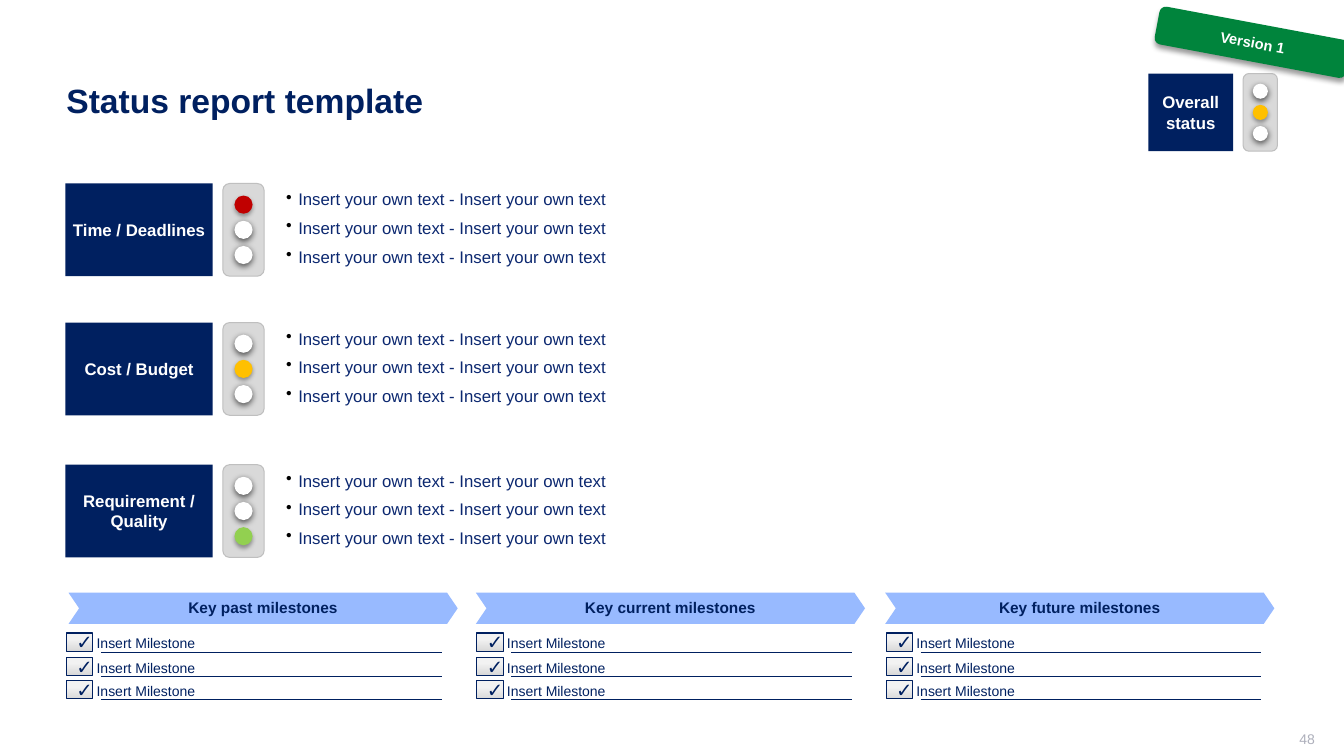
from dataclasses import dataclass

from lxml.etree import SubElement
from pptx import Presentation
from pptx.dml.color import RGBColor
from pptx.enum.shapes import MSO_CONNECTOR, MSO_SHAPE as Geometry
from pptx.enum.text import MSO_ANCHOR as Anchor, PP_ALIGN as Align
from pptx.oxml.ns import qn
from pptx.shapes.autoshape import Shape
from pptx.util import Emu, Pt

EMU_PER_PX = 9144  # 100 px to the inch

NAVY = RGBColor(0x00, 0x20, 0x60)
BODY_BLUE = RGBColor(0x0C, 0x28, 0x70)
LIGHT_BLUE = RGBColor(0x98, 0xBA, 0xFF)
WHITE = RGBColor(0xFF, 0xFF, 0xFF)
RED = RGBColor(0xC0, 0x00, 0x00)
AMBER = RGBColor(0xFF, 0xC0, 0x00)
GREEN = RGBColor(0x92, 0xD0, 0x50)
RIBBON_GREEN = RGBColor(0x00, 0x84, 0x3C)
PALE_GREY = RGBColor(0xF2, 0xF2, 0xF2)
GREY = RGBColor(0xD9, 0xD9, 0xD9)
EDGE_GREY = RGBColor(0xBF, 0xBF, 0xBF)
NUMBER_GREY = RGBColor(0xAD, 0xAF, 0xBB)

LABEL_INSETS = (0, 5, 0, 5)
LAMP_COLORS = (RED, AMBER, GREEN)


@dataclass(frozen=True)
class Shadow:
    opacity: int
    blur: float
    distance: float


@dataclass(frozen=True)
class TrafficLight:
    left: int
    top: int
    width: int
    height: int
    lamp: int
    pitch: int
    lit: int


@dataclass(frozen=True)
class Topic:
    name: str
    top: int
    lit: int


@dataclass(frozen=True)
class MilestoneColumn:
    heading: str
    heading_left: int
    rows_left: int


LIT_SHADOW = Shadow(35, 3.1, 1.8)
UNLIT_SHADOW = Shadow(63, 4.5, 1.5)
RIBBON_SHADOW = Shadow(40, 4, 3)

TOPICS = (
    Topic("Time / Deadlines", 182, 0),
    Topic("Cost / Budget", 320, 1),
    Topic("Requirement / Quality", 461, 2),
)
MILESTONE_COLUMNS = (
    MilestoneColumn("Key past milestones", 68, 66),
    MilestoneColumn("Key current milestones", 472, 473),
    MilestoneColumn("Key future milestones", 878, 879),
)


def px(length: float) -> Emu:
    return Emu(round(length * EMU_PER_PX))


def write(shape: Shape, *lines: str, size: float, color: RGBColor, bold: bool = False,
          align: Align = Align.LEFT, anchor: Anchor = Anchor.MIDDLE,
          insets: tuple = (10, 5, 10, 5), gap: float = 0, bulleted: bool = False,
          line_height: float | None = None) -> None:
    """Fill a shape with one paragraph per line; insets run left, top, right, bottom."""
    frame = shape.text_frame
    frame.word_wrap = True
    frame.vertical_anchor = anchor
    (frame.margin_left, frame.margin_top,
     frame.margin_right, frame.margin_bottom) = map(px, insets)
    for index, line in enumerate(lines):
        paragraph = frame.add_paragraph() if index else frame.paragraphs[0]
        if bulleted:
            add_bullet(paragraph)
        paragraph.alignment = align
        if index and gap:
            paragraph.space_before = Pt(gap)
        if line_height:
            paragraph.line_spacing = Pt(line_height)
        run = paragraph.add_run()
        run.text = line
        run.font.name = "Arial"
        run.font.size = Pt(size)
        run.font.bold = bold
        run.font.color.rgb = color


def add_bullet(paragraph) -> None:
    properties = paragraph._p.get_or_add_pPr()
    properties.set("marL", str(px(12)))
    properties.set("indent", str(-px(12)))
    bullet_color = SubElement(properties, qn("a:buClr"))
    SubElement(bullet_color, qn("a:srgbClr"), val="000000")
    SubElement(properties, qn("a:buChar"), char="•")


def add_block(shapes, geometry: Geometry, left: float, top: float, width: float, height: float,
              fill: RGBColor | None = None, edge: RGBColor | None = None,
              shadow: Shadow | None = None) -> Shape:
    block = shapes.add_shape(geometry, px(left), px(top), px(width), px(height))
    block.shadow.inherit = False
    if fill is not None:
        block.fill.solid()
        block.fill.fore_color.rgb = fill
    if edge is None:
        block.line.fill.background()
    else:
        block.line.color.rgb = edge
        block.line.width = Pt(0.75)
    if shadow:
        effects = block._element.spPr.find(qn("a:effectLst"))
        outer = SubElement(effects, qn("a:outerShdw"), blurRad=str(Pt(shadow.blur)),
                           dist=str(Pt(shadow.distance)), dir="5400000", rotWithShape="0")
        black = SubElement(outer, qn("a:srgbClr"), val="000000")
        SubElement(black, qn("a:alpha"), val=str(shadow.opacity * 1000))
    return block


def add_text(shapes, left: int, top: int, width: int, height: int, text: str, **style) -> None:
    write(shapes.add_textbox(px(left), px(top), px(width), px(height)), text, **style)


def add_label(shapes, left: int, top: int, width: int, height: int, name: str) -> None:
    label = add_block(shapes, Geometry.RECTANGLE, left, top, width, height, NAVY)
    write(label, name, size=12, color=WHITE, bold=True, align=Align.CENTER, insets=LABEL_INSETS)


def add_traffic_light(shapes, light: TrafficLight) -> None:
    """Draw the housing with three lamps spread evenly about its centre."""
    parts = shapes.add_group_shape().shapes
    add_block(parts, Geometry.ROUNDED_RECTANGLE, light.left, light.top,
              light.width, light.height, GREY, EDGE_GREY)
    lamp_left = light.left + (light.width - light.lamp) / 2
    middle_top = light.top + (light.height - light.lamp) / 2
    for index, color in enumerate(LAMP_COLORS):
        is_lit = index == light.lit
        add_block(parts, Geometry.OVAL, lamp_left, middle_top + (index - 1) * light.pitch,
                  light.lamp, light.lamp, color if is_lit else WHITE,
                  shadow=LIT_SHADOW if is_lit else UNLIT_SHADOW)


def add_topic(shapes, topic: Topic) -> None:
    add_traffic_light(shapes, TrafficLight(221, topic.top, 41, 92, 18, 25, topic.lit))
    add_label(shapes, 65, topic.top, 146, 92, topic.name)
    comments = add_block(shapes, Geometry.RECTANGLE, 274, topic.top - 17, 993, 122, WHITE)
    write(comments, *["Insert your own text - Insert your own text"] * 3,
          size=12, color=BODY_BLUE, gap=6, bulleted=True)


def add_milestone(shapes, left: int, top: int) -> None:
    checkbox = add_block(shapes, Geometry.RECTANGLE, left, top, 26, 18, edge=NAVY)
    checkbox.fill.gradient()
    checkbox.fill.gradient_angle = 270
    for stop, position, color in zip(checkbox.fill.gradient_stops, (0.34, 1), (PALE_GREY, GREY)):
        stop.position = position
        stop.color.rgb = color
    write(checkbox, "✓", size=14, color=NAVY, align=Align.CENTER)
    rule = shapes.add_connector(MSO_CONNECTOR.STRAIGHT, px(left + 34), px(top + 19),
                                px(left + 372), px(top + 19))
    rule.line.color.rgb = NAVY
    rule.line.width = Pt(0.5)
    SubElement(rule._element.spPr, qn("a:effectLst"))
    add_text(shapes, left + 20, top - 3, 352, 24, "Insert Milestone",
             size=10, color=NAVY, anchor=Anchor.TOP)


def add_milestone_column(shapes, column: MilestoneColumn) -> None:
    heading = add_block(shapes, Geometry.CHEVRON, column.heading_left, 588, 386, 31, LIGHT_BLUE)
    heading.adjustments[0] = 0.34
    write(heading, column.heading, size=11, color=NAVY, bold=True, align=Align.CENTER,
          insets=(0, 4, 0, 4), line_height=12)
    for row in range(3):
        add_milestone(shapes, column.rows_left, 628 + round(row * 23.5))


def main() -> None:
    deck = Presentation()
    deck.slide_width, deck.slide_height = px(1333), px(750)
    shapes = deck.slides.add_slide(deck.slide_layouts[6]).shapes

    add_text(shapes, 56, 40, 1211, 119, "Status report template", size=24, color=NAVY, bold=True)
    add_text(shapes, 1004, 725, 300, 21, "48", size=10, color=NUMBER_GREY,
             align=Align.RIGHT, insets=(10, 0, 0, 5))
    for topic in TOPICS:
        add_topic(shapes, topic)
    for column in MILESTONE_COLUMNS:
        add_milestone_column(shapes, column)

    add_label(shapes, 1139, 73, 84, 77, "Overall status")
    add_traffic_light(shapes, TrafficLight(1233, 73, 34, 77, 15, 21, lit=1))
    ribbon = add_block(shapes, Geometry.ROUNDED_RECTANGLE, 1146, 23, 193, 38,
                       RIBBON_GREEN, shadow=RIBBON_SHADOW)
    ribbon.rotation = 10.6
    write(ribbon, "Version 1", size=10.5, color=WHITE, bold=True, align=Align.CENTER)
    deck.save("out.pptx")


if __name__ == "__main__":
    main()
